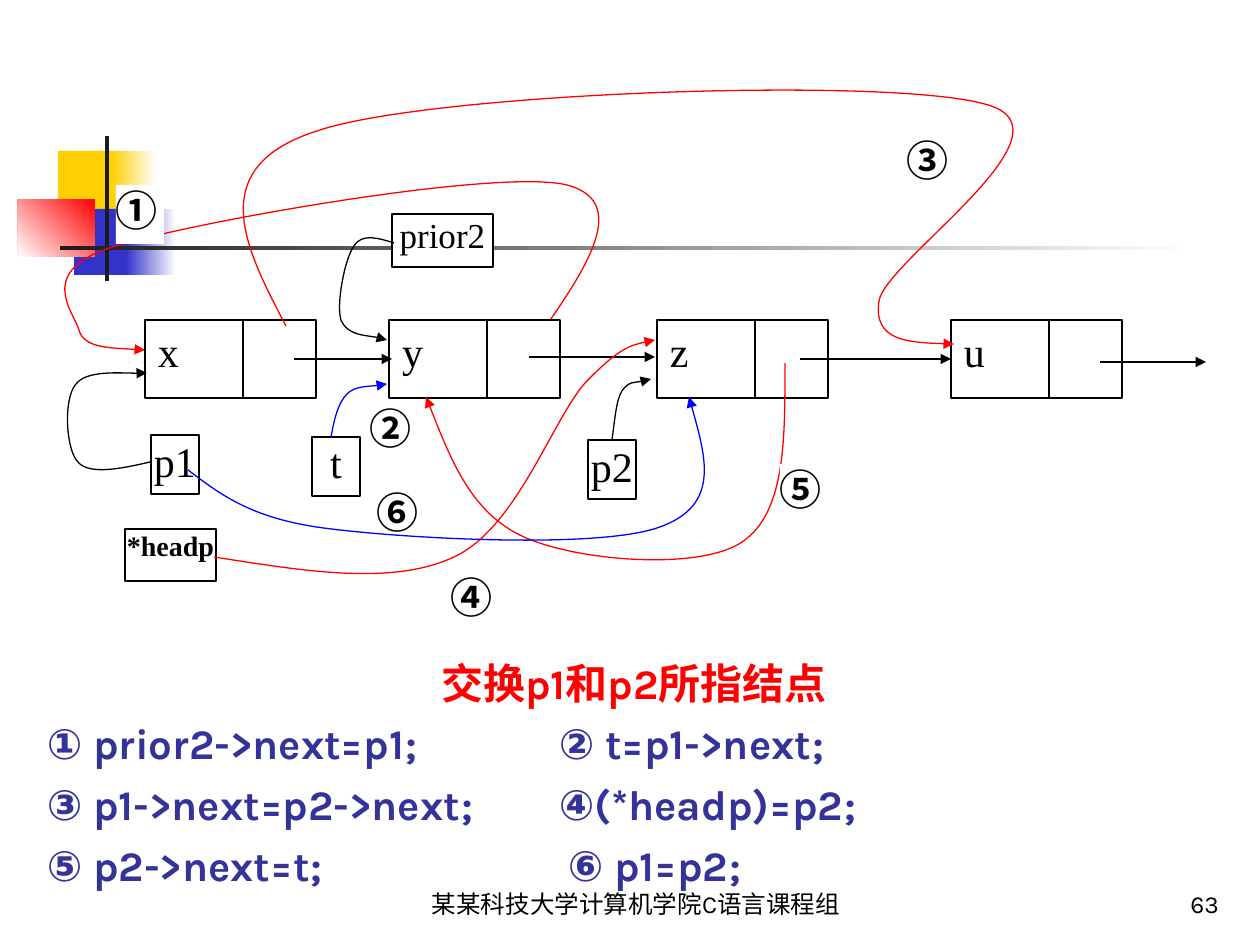
from lxml.etree import SubElement as Sub
from pptx import Presentation
from pptx.dml.color import RGBColor as RGB
from pptx.enum.shapes import MSO_CONNECTOR as CONN, MSO_SHAPE as SHAPE
from pptx.enum.text import MSO_ANCHOR as ANCHOR, PP_ALIGN as ALIGN
from pptx.oxml.ns import qn
from pptx.util import Pt

PX = 914400 / 126


class Theme:
    black, white, red, blue = "000000", "FFFFFF", "FF0000", "0000FF"
    gold, navy, dark, code = "FFCF01", "3333CC", "1C1C1C", "333399"
    serif, sans, cjk = "Times New Roman", "Karla", "Noto Sans CJK SC"
    big, mid, small, foot = 24, 20, 16, 14
    line = 0.75


# Content: boxes are left, top, width, height in px
DECOR = [  # box, fill colours, gradient angle
    ((58, 151, 60, 66), [Theme.gold], 0),
    ((111, 151, 45, 66), [Theme.white, Theme.gold], 180),
    ((74, 209, 58, 66), [Theme.navy], 0),
    ((126, 209, 50, 66), [Theme.white, Theme.navy], 180),
    ((18, 199, 77, 58), [Theme.red, Theme.white], 225),
    ((105, 136, 4, 145), [Theme.dark], 0),
    ((60, 246, 1134, 4), [Theme.white, Theme.dark], 180),
]
TITLE = "交换p1和p2所指结点"
STEPS = [  # left text, right text, tab stop of the right text
    ("① prior2->next=p1;", "② t=p1->next;", 512),
    ("③ p1->next=p2->next;", "④(*headp)=p2;", 512),
    ("⑤ p2->next=t;", "⑥ p1=p2;", 521),
]
NODES = [("x", 145), ("y", 389), ("z", 657), ("u", 951)]
NODE_TOP, NODE_W, NODE_H, SPLIT = 320, 171, 78, 98
LINKS = [(294, 392, 359), (529, 655, 357), (800, 951, 359), (1100, 1206, 362)]
VARS = [
    ("p1", (151, 435, 48, 59), Theme.big, False),
    ("p2", (588, 440, 48, 59), Theme.big, False),
    ("t", (312, 437, 48, 59), Theme.big, False),
    ("*headp", (125, 529, 91, 52), Theme.small, True),
    ("prior2", (392, 214, 101, 53), Theme.mid, False),
]
MARKS = [
    ("④", (451, 572, 39, 39)),
    ("⑥", (377, 486, 48, 59)),
    ("①", (116, 185, 48, 59)),
    ("②", (370, 402, 48, 59)),
    ("③", (907, 135, 48, 59)),
]
LAST_MARK = ("⑤", (780, 464, 48, 60))
# Each curve: start point, then three points per Bezier piece
BACK_CURVE = (Theme.red, [
    (527, 353), (581, 277), (635, 203), (567, 185), (499, 168), (197, 221),
    (116, 246), (34, 270), (74, 312), (79, 330), (84, 348), (115, 348),
    (145, 350)])
CURVES = [
    (Theme.black, [
        (394, 243), (378, 238), (362, 233), (354, 246), (345, 258),
        (336, 304), (341, 320), (348, 336), (379, 336), (387, 340)]),
    (Theme.black, [
        (150, 462), (120, 469), (89, 475), (78, 462), (66, 450), (63, 399),
        (76, 384), (87, 370), (135, 374), (147, 373)]),
    (Theme.blue, [
        (331, 437), (334, 420), (338, 403), (347, 394), (355, 386),
        (381, 386), (387, 384)]),
    (Theme.black, [
        (612, 440), (615, 420), (616, 401), (622, 391), (629, 381),
        (646, 382), (651, 379)]),
    (Theme.red, [
        (214, 557), (304, 571), (392, 586), (454, 557), (517, 528),
        (553, 418), (586, 382), (620, 347), (638, 343), (655, 340)]),
    (Theme.red, [
        (785, 363), (785, 437), (786, 513), (742, 542), (699, 571),
        (577, 561), (524, 537), (471, 513), (449, 455), (426, 397)]),
    (Theme.blue, [
        (188, 470), (221, 495), (253, 520), (331, 529), (411, 539),
        (601, 549), (660, 527), (721, 505), (704, 451), (689, 397)]),
    (Theme.red, [
        (286, 326), (244, 246), (203, 166), (320, 130), (437, 92), (895, 76),
        (988, 105), (1081, 132), (885, 261), (879, 301), (873, 341),
        (914, 343), (954, 344)]),
]
FOOTERS = [
    ("某某科技大学计算机学院C语言课程组", (343, 861, 586, 63), ALIGN.CENTER),
    ("63", (970, 861, 262, 63), ALIGN.RIGHT),
]

deck = Presentation()
deck.slide_width, deck.slide_height = round(1260 * PX), round(945 * PX)
shapes = deck.slides.add_slide(deck.slide_layouts[6]).shapes


def emu(vals):
    return [round(v * PX) for v in vals]


def rect(box, fills, angle=0, line=None):
    shape = shapes.add_shape(SHAPE.RECTANGLE, *emu(box))
    shape.shadow.inherit = False
    if len(fills) == 1:
        shape.fill.solid()
        shape.fill.fore_color.rgb = RGB.from_string(fills[0])
    else:
        shape.fill.gradient()
        shape.fill.gradient_angle = angle
        for stop, tint in zip(shape.fill.gradient_stops, fills):
            stop.color.rgb = RGB.from_string(tint)
    if line:
        stroke(shape, line)
    else:
        shape.line.fill.background()
    return shape


def stroke(shape, color, head=False):
    shape.line.color.rgb = RGB.from_string(color)
    shape.line.width = Pt(Theme.line)
    if head:
        ln = shape.element.spPr.find(qn("a:ln"))
        Sub(ln, qn("a:tailEnd"), type="triangle")


def write(shape, lines, size=Theme.big, font=Theme.serif, color=Theme.black,
          bold=False, align=ALIGN.LEFT, anchor=ANCHOR.TOP, pad=(0, 0),
          before=0, tab=None):
    """Append lines of text to a shape, all in one format."""
    frame = shape.text_frame
    frame.word_wrap, frame.vertical_anchor = True, anchor
    frame.margin_left = frame.margin_right = round(pad[0] * PX)
    frame.margin_top = frame.margin_bottom = round(pad[1] * PX)
    for text in lines:
        para = frame.paragraphs[0]
        if para.runs:
            para = frame.add_paragraph()
        para.alignment, para.space_before = align, Pt(before)
        if tab:
            stops = Sub(para._p.get_or_add_pPr(), qn("a:tabLst"))
            Sub(stops, qn("a:tab"), pos=str(round(tab * PX)), algn="l")
        run = para.add_run()
        run.text = text
        run.font.size, run.font.bold, run.font.name = Pt(size), bold, font
        run.font.color.rgb = RGB.from_string(color)
        Sub(run.font._element, qn("a:ea"), typeface=font)


def link(x1, y1, x2, y2, head=False):
    line = shapes.add_connector(CONN.STRAIGHT, *emu((x1, y1, x2, y2)))
    stroke(line, Theme.black, head)
    Sub(line.element.spPr, qn("a:effectLst"))


def curve(color, points):
    """Draw an outline, then join each three segments into a Bezier piece."""
    pen = shapes.build_freeform(*points[0], scale=PX)
    pen.add_line_segments(points[1:], close=False)
    shape = pen.convert_to_shape()
    shape.shadow.inherit = False
    shape.fill.background()
    stroke(shape, color, head=True)
    path = next(shape.element.iter(qn("a:path")))
    segs = path.findall(qn("a:lnTo"))
    for i in range(0, len(segs), 3):
        piece = Sub(path, qn("a:cubicBezTo"))
        for seg in segs[i:i + 3]:
            piece.append(seg[0])
            path.remove(seg)


def mark(text, box):
    write(rect(box, [Theme.white]), [text], font=Theme.cjk, bold=True)


# Background ornament
for box, fills, angle in DECOR:
    rect(box, fills, angle)

# Title and steps
PAD = (13, 6)
body = shapes.add_textbox(*emu((34, 651, 1200, 260)))
style = dict(font=Theme.sans, bold=True, before=6, pad=PAD)
write(body, [TITLE], color=Theme.red, align=ALIGN.CENTER, **style)
for left, right, tab in STEPS:
    write(body, [f"{left}\t{right}"], color=Theme.code, tab=tab, **style)

# List nodes and their links
curve(*BACK_CURVE)
for item in MARKS:
    mark(*item)
for name, x in NODES:
    node = rect((x, NODE_TOP, NODE_W, NODE_H), [Theme.white], line=Theme.black)
    write(node, [name], pad=PAD)
    link(x + SPLIT, NODE_TOP, x + SPLIT, NODE_TOP + NODE_H)
for x1, x2, y in LINKS:
    link(x1, y, x2, y, head=True)

# Pointer variables and curved arrows
for name, box, size, bold in VARS:
    write(rect(box, [Theme.white], line=Theme.black), [name], size=size,
          bold=bold, align=ALIGN.CENTER)
for color, points in CURVES:
    curve(color, points)
mark(*LAST_MARK)

# Footer
for text, box, align in FOOTERS:
    write(shapes.add_textbox(*emu(box)), [text], size=Theme.foot,
          font=Theme.sans, align=align, anchor=ANCHOR.BOTTOM, pad=PAD)

deck.save("out.pptx")
